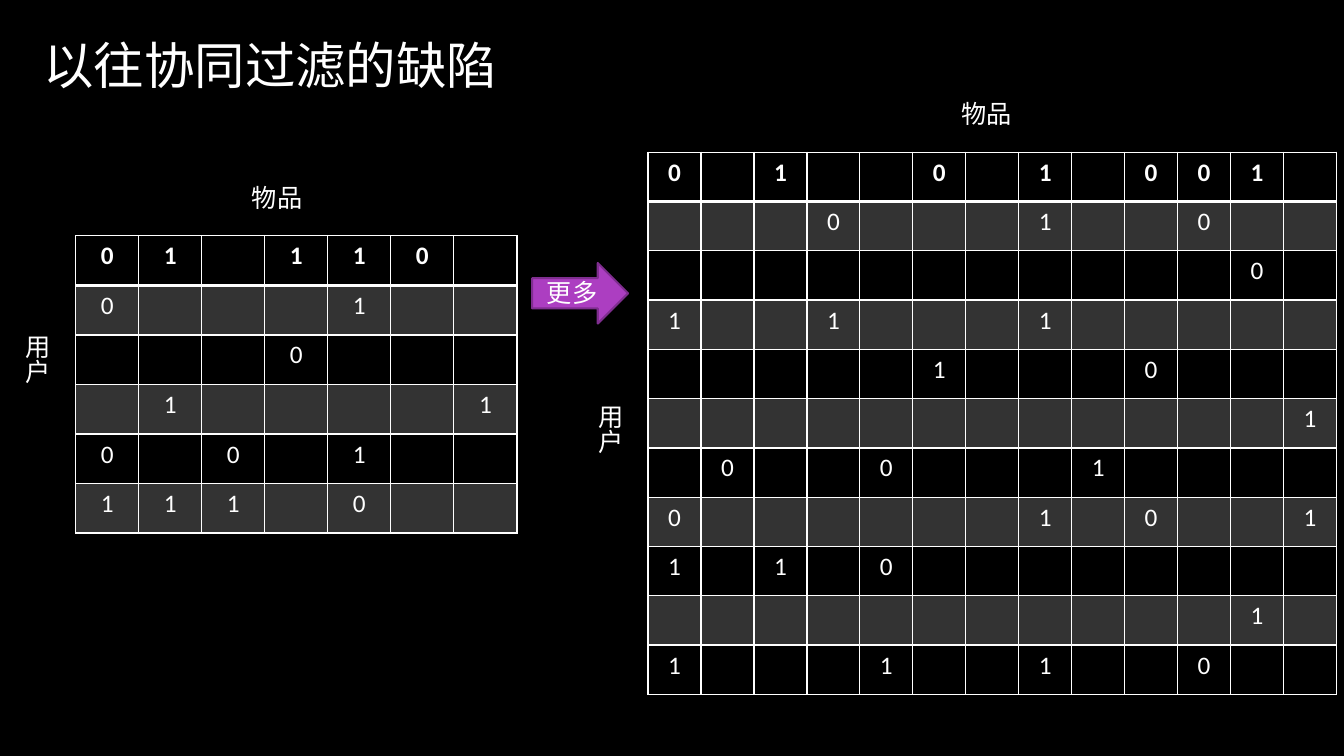
from lxml import etree
from pptx import Presentation, util as u
from pptx.dml.color import RGBColor
from pptx.enum import shapes, text
from pptx.oxml import ns

BLACK = RGBColor(0x00, 0x00, 0x00)
WHITE = RGBColor(0xFF, 0xFF, 0xFF)
PURPLE = RGBColor(0xAC, 0x3E, 0xC1)
DARK_PURPLE = RGBColor(0x7F, 0x2E, 0x8F)
FONT = "Calibri"
WIDTH, HEIGHT = u.Inches(13.33), u.Inches(7.5)
BAND_OPACITY = 20
LABEL_WIDTH, LABEL_HEIGHT = 8.1, 5.33
SIDE_WIDTH, SIDE_HEIGHT = 3.75, 14
ITEM_GAP, USER_GAP = 7.8, 5.1

FEW_RATINGS = [
    "01.110.",
    "0...1..",
    "...0...",
    ".1....1",
    "0.0.1..",
    "111.0..",
]
MANY_RATINGS = [
    "0.1..0.1.001.",
    "...0...1..0..",
    "...........0.",
    "1..1...1.....",
    ".....1...0...",
    "............1",
    ".0..0...1....",
    "0......1.0..1",
    "1.1.0........",
    "...........1.",
    "1...1..1..0..",
]


def place(left, top, width, height):
    return (round(WIDTH * left / 100), round(HEIGHT * top / 100),
            round(WIDTH * width / 100), round(HEIGHT * height / 100))


def write(frame, content, size=18, bold=False, align=text.PP_ALIGN.LEFT,
          anchor=text.MSO_ANCHOR.TOP):
    frame.word_wrap = True
    frame.vertical_anchor = anchor
    paragraph = frame.paragraphs[0]
    paragraph.alignment = align
    run = paragraph.add_run()
    run.text = content
    run.font.name = FONT
    run.font.size = u.Pt(size)
    run.font.bold = bold
    run.font.color.rgb = WHITE


def add_label(container, box, content, vertical=False):
    frame = container.add_textbox(*place(*box)).text_frame
    write(frame, content)
    if vertical:
        frame._txBody.bodyPr.set("vert", "eaVert")


def set_borders(cell, widths):
    properties = cell._tc.get_or_add_tcPr()
    for side, points in widths.items():
        line = etree.SubElement(properties, ns.qn(f"a:ln{side}"), w=str(u.Pt(points)))
        fill = etree.SubElement(line, ns.qn("a:solidFill"))
        etree.SubElement(fill, ns.qn("a:srgbClr"), val=str(WHITE))


def fill_band(cell):
    cell.fill.solid()
    cell.fill.fore_color.rgb = WHITE
    color = cell._tc.tcPr.find(".//" + ns.qn("a:solidFill") + "/" + ns.qn("a:srgbClr"))
    for color in cell._tc.tcPr.findall(ns.qn("a:solidFill") + "/" + ns.qn("a:srgbClr")):
        etree.SubElement(color, ns.qn("a:alpha"), val=str(BAND_OPACITY * 1000))


def add_ratings(slide, box, ratings):
    position = place(*box)
    row_count, column_count = len(ratings), len(ratings[0])
    table = slide.shapes.add_table(row_count, column_count, *position).table
    for column in table.columns:
        column.width = position[2] // column_count
    for row in table.rows:
        row.height = position[3] // row_count
    for row_index, rating_row in enumerate(ratings):
        header = row_index == 0
        for column_index, rating in enumerate(rating_row):
            cell = table.cell(row_index, column_index)
            set_borders(cell, {"L": 1, "R": 1, "T": 2 if row_index == 1 else 1,
                               "B": 2 if header else 1})
            if row_index % 2:
                fill_band(cell)
            else:
                cell.fill.background()
            if rating != ".":
                write(cell.text_frame, rating, bold=header, align=text.PP_ALIGN.CENTER)


def add_matrix(slide, box, ratings, item_shift, user_shift):
    left, top, width, height = box
    add_ratings(slide, box, ratings)
    item_left = left + (width - LABEL_WIDTH) / 2 + item_shift
    user_top = top + (height - SIDE_HEIGHT) / 2 + user_shift
    add_label(slide.shapes, (item_left, top - ITEM_GAP, LABEL_WIDTH, LABEL_HEIGHT), "物品")
    add_label(slide.shapes, (left - USER_GAP, user_top, SIDE_WIDTH, SIDE_HEIGHT),
              "用户", vertical=True)


def add_arrow(slide, box):
    left, top, width, height = box
    group = slide.shapes.add_group_shape()
    arrow = group.shapes.add_shape(shapes.MSO_SHAPE.RIGHT_ARROW, *place(*box))
    arrow.shadow.inherit = False
    arrow.fill.solid()
    arrow.fill.fore_color.rgb = PURPLE
    arrow.line.color.rgb = DARK_PURPLE
    arrow.line.width = u.Pt(1.5)
    add_label(group.shapes, (left + width * 0.05, top + height * 0.15,
                             width * 0.82, LABEL_HEIGHT), "更多")


def add_title(slide, box, content):
    title = slide.shapes.title
    title.left, title.top, title.width, title.height = place(*box)
    write(title.text_frame, content, size=36, anchor=text.MSO_ANCHOR.MIDDLE)


def main():
    presentation = Presentation()
    presentation.slide_width, presentation.slide_height = WIDTH, HEIGHT
    slide = presentation.slides.add_slide(presentation.slide_layouts[5])
    slide.background.fill.solid()
    slide.background.fill.fore_color.rgb = BLACK
    add_title(slide, (2.48, 2.27, 83.1, 12.4), "以往协同过滤的缺陷")
    add_matrix(slide, (5.63, 31.2, 32.85, 39.33), FEW_RATINGS, 0, -0.93)
    add_matrix(slide, (48.22, 20.13, 51.23, 71.73), MANY_RATINGS, 1.02, 3.13)
    add_arrow(slide, (39.6, 34.8, 7.13, 8))
    presentation.save("out.pptx")


if __name__ == "__main__":
    main()
